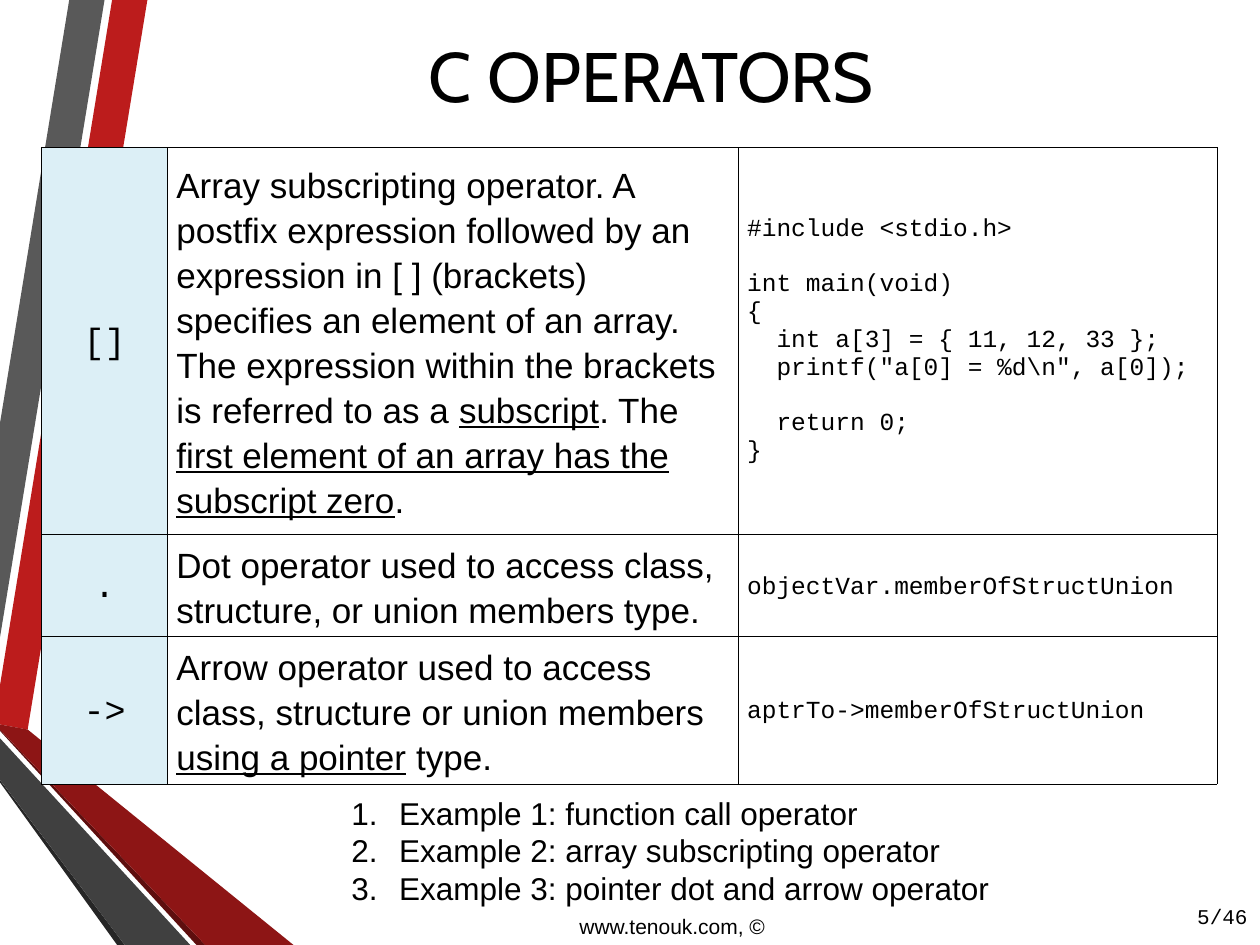
from lxml import etree
from pptx import Presentation
from pptx.dml.color import RGBColor
from pptx.enum.text import MSO_ANCHOR as Anchor, PP_ALIGN as Align
from pptx.oxml import parse_xml
from pptx.oxml.ns import nsdecls, qn
from pptx.util import Inches, Pt

BLACK = RGBColor(0x00, 0x00, 0x00)
PALE_BLUE = RGBColor(0xDC, 0xEF, 0xF6)
RED = RGBColor(0xBC, 0x1C, 0x1C)
DARK_RED = RGBColor(0x8D, 0x15, 0x15)
RED_EDGE = RGBColor(0x5E, 0x0E, 0x0E)
GREY = RGBColor(0x59, 0x59, 0x59)
DARK_GREY = RGBColor(0x40, 0x40, 0x40)
GREY_EDGE = RGBColor(0x26, 0x26, 0x26)


def write(frame, lines, font, size, **paragraph_format):
    """Fill a text frame; text between | marks is underlined."""
    for number, line in enumerate(lines):
        paragraph = frame.paragraphs[0] if number == 0 else frame.add_paragraph()
        for name, value in paragraph_format.items():
            setattr(paragraph, name, value)
        for index, part in enumerate(line.split("|")):
            run = paragraph.add_run()
            run.text = part
            run_format = {"name": font, "size": Pt(size)}
            if index % 2:
                run_format["underline"] = True
            for name, value in run_format.items():
                setattr(run.font, name, value)
            run.font.color.rgb = BLACK


def add_text(box, lines, font, size, alignment=Align.LEFT, **frame_format):
    frame = slide.shapes.add_textbox(*map(Inches, box)).text_frame
    for name, value in {"word_wrap": True, **frame_format}.items():
        setattr(frame, name, value)
    write(frame, lines, font, size, alignment=alignment)
    return frame


prs = Presentation()
prs.slide_width, prs.slide_height = Inches(10), Inches(7.5)
slide = prs.slides.add_slide(prs.slide_layouts[6])

# Folded ribbons on the left, from back to front
ribbons = [
    (RED, [(0, 5.44), (0, 5.75), (0.22, 5.79), (1.17, 0), (0.89, 0)]),
    (GREY, [(0.83, 0), (0.55, 0), (0, 3.36), (0, 5.06)]),
    (GREY_EDGE, [(0, 6.19), (0, 6.21), (0.93, 7.5), (0.99, 7.5)]),
    (RED_EDGE, [(0, 5.79), (0, 5.8), (1.56, 7.5), (1.63, 7.5)]),
    (DARK_RED, [(0, 5.79), (1.63, 7.5), (2.33, 7.5), (0.22, 5.79), (0, 5.75)]),
    (DARK_GREY, [(0, 6.19), (0.99, 7.5), (1.51, 7.5), (0, 5.86)]),
]
for color, corners in ribbons:
    start, *others = [(Inches(x), Inches(y)) for x, y in corners]
    outline = slide.shapes.build_freeform(*start)
    outline.add_line_segments(others, close=True)
    ribbon = outline.convert_to_shape()
    ribbon.shadow.inherit = False
    ribbon.fill.solid()
    ribbon.fill.fore_color.rgb = color
    ribbon.line.fill.background()

# Operator table: symbol, description, example code
operators = [
    ("[]",
     "Array subscripting operator. A postfix expression followed by an "
     "expression in [ ] (brackets) specifies an element of an array. The "
     "expression within the brackets is referred to as a |subscript|. The "
     "|first element of an array has the subscript zero|.",
     ["#include <stdio.h>", "int main(void)", "{",
      "  int a[3] = { 11, 12, 33 };", '  printf("a[0] = %d\\n", a[0]);',
      "  return 0;", "}"]),
    (".",
     "Dot operator used to access class, structure, or union members type.",
     ["objectVar.memberOfStructUnion"]),
    ("->",
     "Arrow operator used to access class, structure or union members "
     "|using a pointer| type.",
     ["aptrTo->memberOfStructUnion"]),
]
table = slide.shapes.add_table(
    3, 3, Inches(0.33), Inches(1.17), Inches(9.33), Inches(4.99)).table
table.first_row = table.horz_banding = False
for column, width in zip(table.columns, (1, 4.53, 3.8)):
    column.width = Inches(width)
for row, height in zip(table.rows, (3.07, 0.77, 1.15)):
    row.height = Inches(height)

cell_format = {
    "vertical_anchor": Anchor.MIDDLE,
    "margin_left": Inches(0.07), "margin_right": Inches(0.07),
    "margin_top": Inches(0.05), "margin_bottom": Inches(0.05),
}
for row, (symbol, description, code) in zip(table.rows, operators):
    symbol_cell, description_cell, code_cell = row.cells
    for cell in row.cells:
        for name, value in cell_format.items():
            setattr(cell, name, value)
        cell.fill.background()
        properties = cell._tc.get_or_add_tcPr()
        for position, side in enumerate(("lnL", "lnR", "lnT", "lnB")):
            properties.insert(position, parse_xml(
                f'<a:{side} {nsdecls("a")} w="{Pt(0.45)}"><a:solidFill>'
                f'<a:srgbClr val="{BLACK}"/></a:solidFill></a:{side}>'))
    symbol_cell.fill.solid()
    symbol_cell.fill.fore_color.rgb = PALE_BLUE
    write(symbol_cell.text_frame, [symbol], "Courier New", 20,
          alignment=Align.CENTER, line_spacing=1.15)
    write(description_cell.text_frame, [description], "Arial", 20,
          line_spacing=1.15)
    write(code_cell.text_frame, code, "Courier New", 14,
          line_spacing=1.0 if len(code) > 1 else 1.15)

# One line of space before each code section
listing = table.cell(0, 2).text_frame.paragraphs
for section in (listing[1], listing[5]):
    section.space_before = Pt(16)

# Numbered examples
examples = add_text(
    (2.69, 6.25, 5.26, 1),
    ["Example 1: function call operator",
     "Example 2: array subscripting operator",
     "Example 3: pointer dot and arrow operator"],
    "Arial", 18, word_wrap=False)
for example in examples.paragraphs:
    properties = example._p.get_or_add_pPr()
    properties.set("marL", str(Inches(0.38)))
    properties.set("indent", str(-Inches(0.38)))
    bullet_color = etree.SubElement(properties, qn("a:buClr"))
    etree.SubElement(bullet_color, qn("a:srgbClr"), val=str(BLACK))
    etree.SubElement(properties, qn("a:buAutoNum"), type="arabicPeriod")

# Title, page number and footer
add_text((0.67, 0.17, 9, 0.84), ["C OPERATORS"], "Cabin", 40, Align.CENTER,
         vertical_anchor=Anchor.MIDDLE)
add_text((9.17, 7.07, 0.83, 0.4), ["5/46"], "Courier New", 12, Align.RIGHT,
         vertical_anchor=Anchor.MIDDLE)
add_text((4.5, 7.2, 1.75, 0.3), ["www.tenouk.com, ©"], "Arial", 12)

prs.save("out.pptx")
